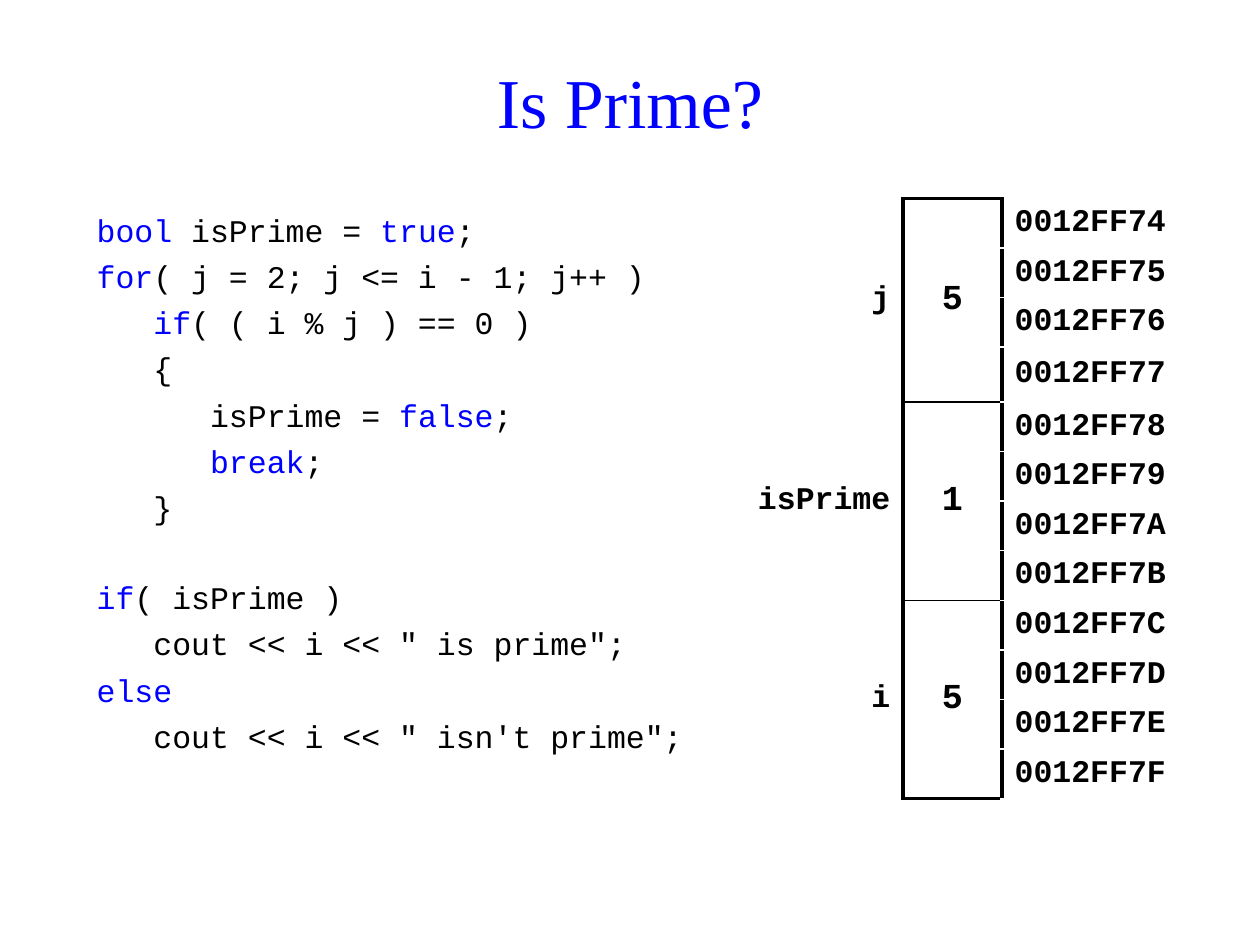
from lxml import etree
from pptx import Presentation
from pptx.dml.color import RGBColor
from pptx.enum import text as t
from pptx.oxml import ns
from pptx.util import Cm, Pt

BLUE = RGBColor(0x00, 0x00, 0xFF)
BLACK = RGBColor(0x00, 0x00, 0x00)
MONO = "Courier New"
MARK = "|"
CODE = """|bool| isPrime = |true|;
|for|( j = 2; j <= i - 1; j++ )
   |if|( ( i % j ) == 0 )
   {
      isPrime = |false|;
      |break|;
   }

|if|( isPrime )
   cout << i << " is prime";
|else|
   cout << i << " isn't prime";"""
VARS = [("j", 5), ("isPrime", 1), ("i", 5)]
START = 0x0012FF74
SIZE = 4


def edge(cell, side, width):
    props = cell._tc.get_or_add_tcPr()
    line = etree.SubElement(props, ns.qn("a:ln" + side), w=str(Pt(width)))
    fill = etree.SubElement(line, ns.qn("a:solidFill"))
    etree.SubElement(fill, ns.qn("a:srgbClr"), val=str(BLACK))


def write(cell, words, size, align):
    cell.text = words
    cell.vertical_anchor = t.MSO_ANCHOR.MIDDLE
    para = cell.text_frame.paragraphs[0]
    para.alignment = align
    para.font.name = MONO
    para.font.size = Pt(size)
    para.font.bold = True
    para.font.color.rgb = BLACK


deck = Presentation()
deck.slide_width, deck.slide_height = Cm(25.4), Cm(19.05)
slide = deck.slides.add_slide(deck.slide_layouts[5])

title = slide.shapes.title
title.left, title.top, title.width, title.height = Cm(1.2), Cm(0.53), Cm(23), Cm(3)
title.text_frame.text = "Is Prime?"
title.text_frame.vertical_anchor = t.MSO_ANCHOR.MIDDLE
head = title.text_frame.paragraphs[0]
head.alignment = t.PP_ALIGN.CENTER
head.font.name = "Times New Roman"
head.font.size = Pt(40)
head.font.color.rgb = BLUE

box = slide.shapes.add_textbox(Cm(1.7), Cm(4), Cm(12.5), Cm(11.5))
frame = box.text_frame
frame.word_wrap = True
frame.margin_top = Cm(0.25)
gap = 0
for row in CODE.split("\n"):
    if not row:
        gap += 25.2
        continue
    para = frame.add_paragraph() if gap else frame.paragraphs[0]
    para.space_before = Pt(gap)
    para.font.name = MONO
    para.font.size = Pt(18)
    for n, part in enumerate(row.split(MARK)):
        if part:
            run = para.add_run()
            run.text = part
            run.font.color.rgb = BLUE if n % 2 else BLACK
    gap = 4.8

count = len(VARS) * SIZE
graph = slide.shapes.add_table(count, 3, Cm(14.7), Cm(4), Cm(9.5), Cm(count))
table = graph.table
table.first_row = table.horz_banding = False
for col, width in zip(table.columns, (3.5, 2, 4)):
    col.width = Cm(width)

for n in range(count):
    name, value, place = (table.cell(n, c) for c in range(3))
    edge(name, "R", 2.25)
    edge(value, "L", 2.25)
    edge(value, "R", 2.25)
    edge(place, "L", 2.25)
    if n % SIZE == 0:
        edge(value, "T", 1 if n else 2.25)
    if n % SIZE in (0, SIZE - 1):
        edge(value, "B", 2.25 if n >= count - SIZE else 1)
    for cell in (name, value, place):
        cell.fill.background()
    place.margin_top = place.margin_bottom = Cm(0.1)
    write(place, f"{START + n:08X}", 18, t.PP_ALIGN.LEFT)

for n, (name, value) in enumerate(VARS):
    top = n * SIZE
    for c in range(2):
        table.cell(top, c).merge(table.cell(top + SIZE - 1, c))
    write(table.cell(top, 0), name, 18, t.PP_ALIGN.RIGHT)
    write(table.cell(top, 1), str(value), 20, t.PP_ALIGN.CENTER)

deck.save("out.pptx")
